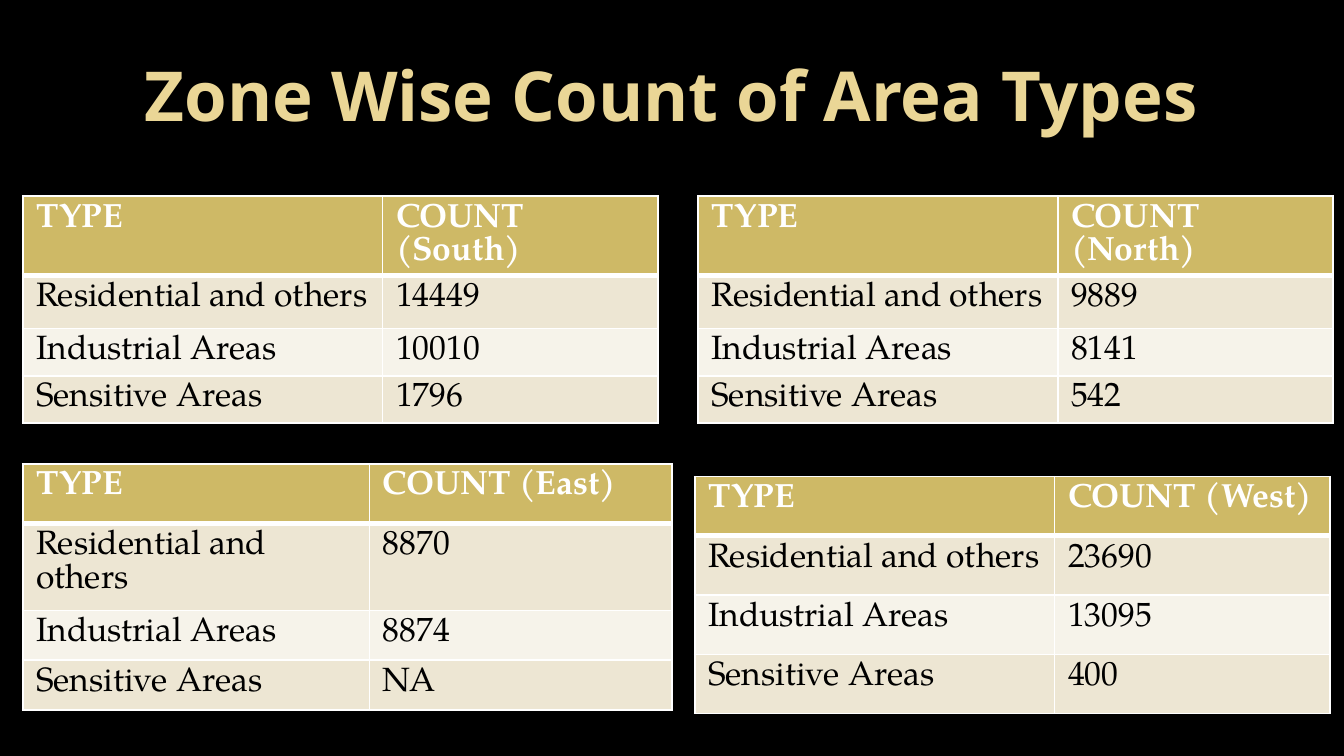
from dataclasses import dataclass

from lxml import etree
from pptx import Presentation
from pptx import util as u
from pptx.dml.color import RGBColor
from pptx.enum import text
from pptx.oxml.ns import qn

HUES = {
    "back": "000000",
    "title": "EAD696",
    "head": "CEB966",
    "odd": "EDE6D3",
    "even": "F6F3EA",
    "line": "FFFFFF",
    "light": "FFFFFF",
    "dark": "000000",
}
TITLE = {"name": "Open Sans", "size": u.Pt(36.9), "bold": True}
HEAD = {"name": "TeX Gyre Pagella", "size": u.Pt(18), "bold": True}
BODY = {**HEAD, "bold": False}
FRAME = {
    "word_wrap": True,
    "auto_size": text.MSO_AUTO_SIZE.NONE,
    "vertical_anchor": text.MSO_ANCHOR.MIDDLE,
}
AREAS = ("Residential and others", "Industrial Areas", "Sensitive Areas")


@dataclass
class Zone:
    """A zone's table; lengths in cm."""
    name: str
    left: float
    top: float
    cols: tuple[float, float]
    rows: tuple[float, ...]
    counts: tuple[str, str, str]


WIDE = (6.8, 5.2)
TALL = (1.48, 1.0, 0.89, 0.89)
ZONES = (
    Zone("South", 0.43, 3.71, WIDE, TALL, ("14449", "10010", "1796")),
    Zone("West", 13.13, 9.01, WIDE, (1.12,) * 4, ("23690", "13095", "400")),
    Zone("North", 13.19, 3.71, WIDE, TALL, ("9889", "8141", "542")),
    Zone("East", 0.43, 8.77, (6.55, 5.72), (1.12, 1.65, 0.94, 0.94),
         ("8870", "8874", "NA")),
)


def hue(key: str) -> RGBColor:
    return RGBColor.from_string(HUES[key])


def style(item, form: dict) -> None:
    for key, val in form.items():
        setattr(item, key, val)


def write(par, words: str, form: dict, tint: str) -> None:
    run = par.add_run()
    run.text = words
    style(run.font, form)
    run.font.color.rgb = hue(tint)


def edge(cell, side: str, width: float) -> None:
    line = etree.SubElement(cell._tc.get_or_add_tcPr(), qn(f"a:ln{side}"),
                            w=str(u.Pt(width)))
    fill = etree.SubElement(line, qn("a:solidFill"))
    etree.SubElement(fill, qn("a:srgbClr"), val=HUES["line"])


def draw(slide, zone: Zone) -> None:
    size = len(zone.rows), len(zone.cols)
    table = slide.shapes.add_table(
        *size, u.Cm(zone.left), u.Cm(zone.top),
        u.Cm(sum(zone.cols)), u.Cm(sum(zone.rows))).table
    for col, wide in zip(table.columns, zone.cols):
        col.width = u.Cm(wide)
    for row, tall in zip(table.rows, zone.rows):
        row.height = u.Cm(tall)

    data = [("TYPE", f"COUNT ({zone.name})"), *zip(AREAS, zone.counts)]
    for r, pair in enumerate(data):
        top = r == 0
        fill = "head" if top else "odd" if r % 2 else "even"
        for c, words in enumerate(pair):
            cell = table.cell(r, c)
            # Thick rule between the header and the body
            for side in "LRTB":
                thick = (r, side) in ((0, "B"), (1, "T"))
                edge(cell, side, 3 if thick else 1)
            cell.fill.solid()
            cell.fill.fore_color.rgb = hue(fill)
            write(cell.text_frame.paragraphs[0], words,
                  HEAD if top else BODY, "light" if top else "dark")


def main() -> None:
    deck = Presentation()
    style(deck, {"slide_width": u.Cm(25.4), "slide_height": u.Cm(14.29)})
    slide = deck.slides.add_slide(deck.slide_layouts[6])
    slide.background.fill.solid()
    slide.background.fill.fore_color.rgb = hue("back")

    # Title
    box = slide.shapes.add_textbox(u.Cm(1.27), u.Cm(0.58),
                                   u.Cm(22.86), u.Cm(2.39))
    style(box.text_frame, FRAME)
    par = box.text_frame.paragraphs[0]
    par.alignment = text.PP_ALIGN.CENTER
    write(par, "Zone Wise Count of Area Types", TITLE, "title")

    # Zone tables
    for zone in ZONES:
        draw(slide, zone)

    deck.save("out.pptx")


if __name__ == "__main__":
    main()
